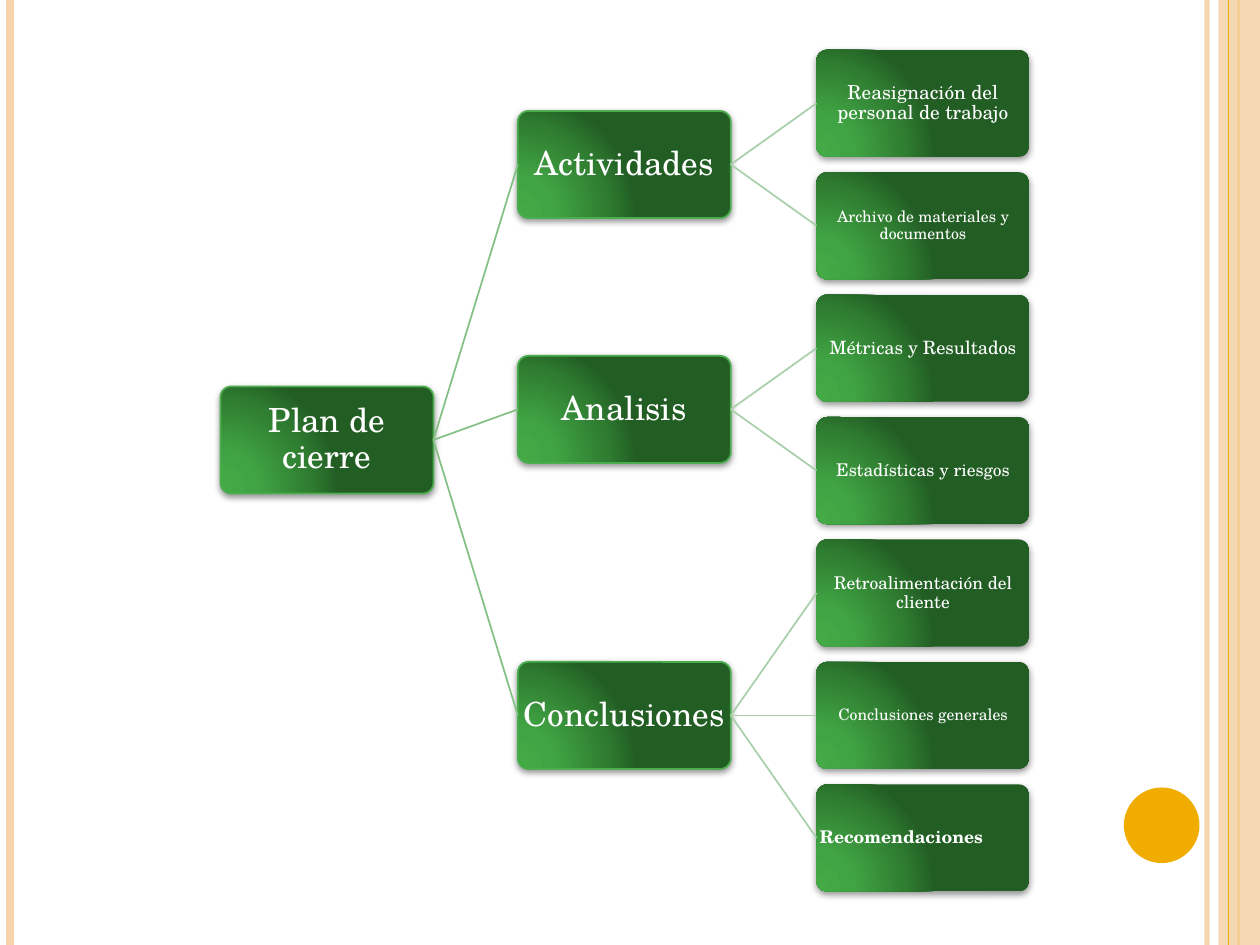
import dataclasses
from typing import Optional

import pptx
import pptx.dml.color
import pptx.enum.shapes
import pptx.enum.text
import pptx.oxml
import pptx.oxml.ns
import pptx.util
from lxml import etree

Inches, Pt = pptx.util.Inches, pptx.util.Pt
RGB = pptx.dml.color.RGBColor.from_string
MSO_SHAPE = pptx.enum.shapes.MSO_SHAPE
ALIGN = pptx.enum.text.PP_ALIGN
qn = pptx.oxml.ns.qn
LEFT_SIDE, RIGHT_SIDE = 1, 3


@dataclasses.dataclass(frozen=True)
class Theme:
    font: str = "TeX Gyre Schola"
    text: str = "FFFFFF"
    peach: str = "F6D3AB"
    amber: str = "F0AD00"
    border: str = "4BAD4E"
    branch_link: str = "85C086"
    leaf_link: str = "AAD0AB"
    shadow: str = "000000"
    gradient: tuple = ((0, "43AA46"), (30, "41A444"), (75, "2F7D31"), (100, "225D24"))
    heading_size: float = 19


@dataclasses.dataclass(frozen=True)
class Rule:
    x: float
    color: str
    width: float
    opacity: int = 100


@dataclasses.dataclass(frozen=True)
class Leaf:
    text: str
    size: float
    bold: bool = False
    align: ALIGN = ALIGN.CENTER


@dataclasses.dataclass(frozen=True)
class Branch:
    text: str
    leaves: tuple


THEME = Theme()
SLIDE_W, SLIDE_H = 10, 7.5
BOX_W, BOX_H = 1.69, 0.85
ROOT_X, BRANCH_X, LEAF_X = 1.75, 4.11, 6.48
FIRST_LEAF_Y, LAST_LEAF_Y = 0.82, 6.65  # centres

RULES = (
    Rule(9.58, THEME.peach, 3, 93),
    Rule(0.08, THEME.peach, 4.5),
    Rule(9.83, THEME.amber, 1.5),
)
INNER_RULE = Rule(9.75, THEME.amber, 0.75)

ROOT_TEXT = "Plan de cierre"
BRANCHES = (
    Branch("Actividades", (
        Leaf("Reasignación del personal de trabajo", 11),
        Leaf("Archivo de materiales y documentos", 9),
    )),
    Branch("Analisis", (
        Leaf("Métricas y Resultados", 10.5),
        Leaf("Estadísticas y riesgos", 10),
    )),
    Branch("Conclusiones", (
        Leaf("Retroalimentación del cliente", 10),
        Leaf("Conclusiones generales", 9),
        Leaf("Recomendaciones", 10, True, ALIGN.LEFT),
    )),
)


def set_opacity(element, percent: int) -> None:
    clr = next(element.iter(qn("a:srgbClr")))
    etree.SubElement(clr, qn("a:alpha"), val=str(percent * 1000))


def add_line(slide, x1: float, y1: float, x2: float, y2: float, color: str, width: float):
    line = slide.shapes.add_connector(
        pptx.enum.shapes.MSO_CONNECTOR.STRAIGHT,
        Inches(x1), Inches(y1), Inches(x2), Inches(y2))
    line.line.color.rgb = RGB(color)
    line.line.width = Pt(width)
    etree.SubElement(line._element.spPr, qn("a:effectLst"))
    return line


def add_rule(slide, rule: Rule) -> None:
    line = add_line(slide, rule.x, 0, rule.x, SLIDE_H, rule.color, rule.width)
    if rule.opacity < 100:
        set_opacity(line._element.spPr, rule.opacity)


def add_plain(slide, kind: MSO_SHAPE, x: float, y: float, w: float, h: float, color: str):
    sp = slide.shapes.add_shape(kind, Inches(x), Inches(y), Inches(w), Inches(h))
    sp.shadow.inherit = False
    sp.fill.solid()
    sp.fill.fore_color.rgb = RGB(color)
    sp.line.fill.background()
    return sp


def apply_glow_fill(sp) -> None:
    """Circular gradient lit from the lower left corner, with a soft shadow below."""
    ns = pptx.oxml.ns.nsdecls("a")
    stops = "".join(
        f'<a:gs pos="{pos * 1000}"><a:srgbClr val="{color}"/></a:gs>'
        for pos, color in THEME.gradient)
    gradient = pptx.oxml.parse_xml(
        f'<a:gradFill {ns} rotWithShape="1"><a:gsLst>{stops}</a:gsLst><a:path path="circle">'
        '<a:fillToRect l="5000" t="100000" r="120000" b="10000"/></a:path></a:gradFill>')
    shadow = pptx.oxml.parse_xml(
        f'<a:outerShdw {ns} blurRad="{Pt(4)}" dist="{Pt(1.6)}" dir="5400000" rotWithShape="0">'
        f'<a:srgbClr val="{THEME.shadow}"><a:alpha val="42000"/></a:srgbClr></a:outerShdw>')
    spPr = sp._element.spPr
    spPr.replace(spPr.find(qn("a:solidFill")), gradient)
    spPr.find(qn("a:effectLst")).append(shadow)


def add_box(slide, x: float, center_y: float, text: str, size: float, bold: bool = False,
            align: ALIGN = ALIGN.CENTER, border: Optional[str] = None):
    sp = add_plain(slide, MSO_SHAPE.ROUNDED_RECTANGLE, x, center_y - BOX_H / 2,
                   BOX_W, BOX_H, THEME.gradient[-1][1])
    sp.adjustments[0] = 0.1
    apply_glow_fill(sp)
    if border:
        sp.line.color.rgb = RGB(border)
        sp.line.width = Pt(1)
    tf = sp.text_frame
    frame_format = {"word_wrap": True, "vertical_anchor": pptx.enum.text.MSO_ANCHOR.MIDDLE,
                    "margin_left": 0, "margin_right": 0, "margin_top": 0, "margin_bottom": 0}
    for name, value in frame_format.items():
        setattr(tf, name, value)
    p = tf.paragraphs[0]
    p.alignment, p.line_spacing = align, 0.9
    r = p.add_run()
    r.text = text
    for name, value in {"name": THEME.font, "size": Pt(size), "bold": bold}.items():
        setattr(r.font, name, value)
    r.font.color.rgb = RGB(THEME.text)
    return sp


def link(slide, parent, child, color: str) -> None:
    line = add_line(slide, 0, 0, 1, 1, color, 1)
    line.begin_connect(parent, RIGHT_SIDE)
    line.end_connect(child, LEFT_SIDE)


def add_frame(slide) -> None:
    for rule in RULES:
        add_rule(slide, rule)
    band = add_plain(slide, MSO_SHAPE.RECTANGLE, 9.67, 0, 0.33, SLIDE_H, THEME.peach)
    set_opacity(band._element.spPr, 87)
    add_rule(slide, INNER_RULE)
    add_plain(slide, MSO_SHAPE.OVAL, 8.92, 6.25, 0.6, 0.6, THEME.amber)


def add_tree(slide) -> None:
    """Each parent is centred between its first and last child."""
    leaf_count = sum(len(b.leaves) for b in BRANCHES)
    step = (LAST_LEAF_Y - FIRST_LEAF_Y) / (leaf_count - 1)
    centers, row = [], 0
    for branch in BRANCHES:
        ys = [FIRST_LEAF_Y + step * (row + i) for i in range(len(branch.leaves))]
        centers.append(ys)
        row += len(ys)
    middles = [(ys[0] + ys[-1]) / 2 for ys in centers]
    heading = {"size": THEME.heading_size, "border": THEME.border}
    root = add_box(slide, ROOT_X, (middles[0] + middles[-1]) / 2, ROOT_TEXT, **heading)
    for branch, ys, middle in zip(BRANCHES, centers, middles):
        parent = add_box(slide, BRANCH_X, middle, branch.text, **heading)
        link(slide, root, parent, THEME.branch_link)
        for leaf, y in zip(branch.leaves, ys):
            child = add_box(slide, LEAF_X, y, leaf.text, leaf.size, leaf.bold, leaf.align)
            link(slide, parent, child, THEME.leaf_link)


def main() -> None:
    prs = pptx.Presentation()
    prs.slide_width, prs.slide_height = Inches(SLIDE_W), Inches(SLIDE_H)
    slide = prs.slides.add_slide(prs.slide_layouts[6])
    add_frame(slide)
    add_tree(slide)
    prs.save("out.pptx")


if __name__ == "__main__":
    main()
